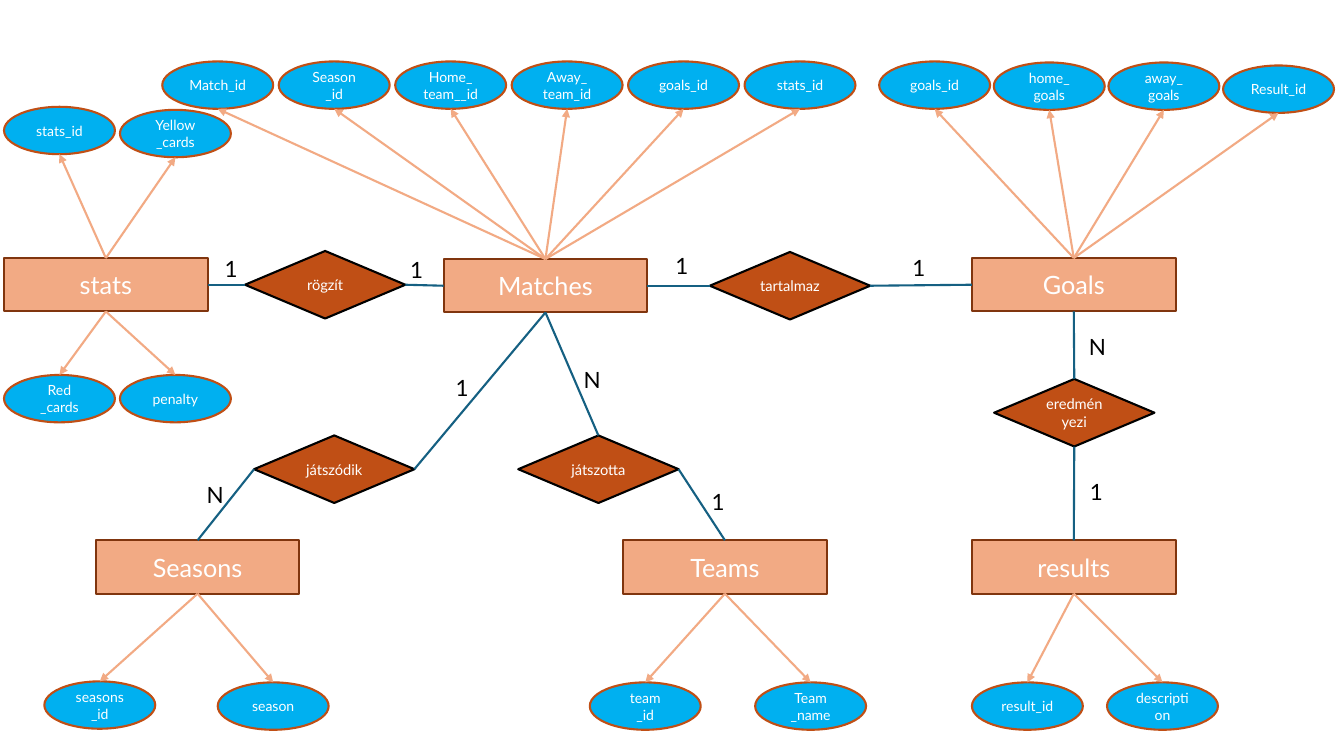
from dataclasses import dataclass

from lxml import etree
from pptx import Presentation
from pptx.dml.color import RGBColor
from pptx.enum.shapes import MSO_CONNECTOR, MSO_SHAPE
from pptx.enum.text import MSO_ANCHOR, MSO_AUTO_SIZE, PP_ALIGN
from pptx.oxml.ns import qn
from pptx.shapes.autoshape import Shape
from pptx.shapes.connector import Connector
from pptx.shapes.shapetree import SlideShapes
from pptx.util import Inches, Pt

STRAIGHT = MSO_CONNECTOR.STRAIGHT
RECTANGLE, OVAL, DIAMOND = MSO_SHAPE.RECTANGLE, MSO_SHAPE.OVAL, MSO_SHAPE.DIAMOND
MIDDLE, CENTER = MSO_ANCHOR.MIDDLE, PP_ALIGN.CENTER
GROW = MSO_AUTO_SIZE.SHAPE_TO_FIT_TEXT

FONT = "Lato"
WHITE = RGBColor(0xFF, 0xFF, 0xFF)
BLACK = RGBColor(0x00, 0x00, 0x00)
PEACH = RGBColor(0xF2, 0xAA, 0x84)
BROWN = RGBColor(0x80, 0x35, 0x0E)
RUST = RGBColor(0xC0, 0x4F, 0x15)
SKY = RGBColor(0x00, 0xB0, 0xF0)
TEAL = RGBColor(0x15, 0x60, 0x82)

# Connection sites of rectangles and diamonds
TOP, LEFT, BOTTOM, RIGHT = range(4)


@dataclass(frozen=True)
class Style:
    preset: MSO_SHAPE
    width: float
    height: float
    fill: RGBColor
    outline: RGBColor
    font_size: float


@dataclass(frozen=True)
class Attribute:
    name: str
    left: float
    top: float


@dataclass(frozen=True)
class Entity:
    name: str
    left: float
    top: float
    attributes: list[Attribute]


@dataclass(frozen=True)
class Link:
    """One side of a relationship, with the place of its cardinality."""
    diamond_site: int
    entity: str
    entity_site: int
    cardinality: str
    left: float
    top: float


@dataclass(frozen=True)
class Relationship:
    name: str
    left: float
    top: float
    links: list[Link]


ENTITY = Style(RECTANGLE, 2.02, 0.53, PEACH, BROWN, 18)
ATTRIBUTE = Style(OVAL, 1.1, 0.47, SKY, RUST, 10)
RELATIONSHIP = Style(DIAMOND, 1.59, 0.67, RUST, BLACK, 10.5)

MATCH_FIELDS = ["Match_id", "Season\n_id", "Home_\nteam__id",
                "Away_\nteam_id", "goals_id", "stats_id"]
GOAL_FIELDS = [("goals_id", 0.61), ("home_\ngoals", 0.62),
               ("away_\ngoals", 0.62), ("Result_id", 0.65)]

ENTITIES = [
    Entity("Matches", 4.4, 2.57, [
        Attribute(name, 1.61 + i * 1.155, 0.61)
        for i, name in enumerate(MATCH_FIELDS)]),
    Entity("Goals", 9.64, 2.56, [
        Attribute(name, 8.72 + i * 1.137, top)
        for i, (name, top) in enumerate(GOAL_FIELDS)]),
    Entity("stats", 0.04, 2.56, [
        Attribute("stats_id", 0.04, 1.06), Attribute("Yellow\n_cards", 1.19, 1.09),
        Attribute("Red\n_cards", 0.04, 3.72), Attribute("penalty", 1.19, 3.72)]),
    Entity("Seasons", 0.95, 5.36, [
        Attribute("seasons\n_id", 0.44, 6.76), Attribute("season", 2.16, 6.77)]),
    Entity("Teams", 6.18, 5.36, [
        Attribute("team\n_id", 5.85, 6.77), Attribute("Team\n_name", 7.49, 6.77)]),
    Entity("results", 9.64, 5.36, [
        Attribute("result_id", 9.64, 6.77), Attribute("description", 10.98, 6.77)]),
]

RELATIONSHIPS = [
    Relationship("rögzít", 2.43, 2.49, [
        Link(LEFT, "stats", RIGHT, "1", 2.13, 2.48),
        Link(RIGHT, "Matches", LEFT, "1", 3.97, 2.49)]),
    Relationship("tartalmaz", 7.04, 2.5, [
        Link(LEFT, "Matches", RIGHT, "1", 6.6, 2.45),
        Link(RIGHT, "Goals", LEFT, "1", 8.95, 2.47)]),
    Relationship("játszódik", 2.52, 4.32, [
        Link(LEFT, "Seasons", TOP, "N", 1.95, 4.72),
        Link(RIGHT, "Matches", BOTTOM, "1", 4.42, 3.66)]),
    Relationship("játszotta", 5.14, 4.32, [
        Link(TOP, "Matches", BOTTOM, "N", 5.69, 3.58),
        Link(RIGHT, "Teams", TOP, "1", 6.96, 4.79)]),
    Relationship("eredményezi", 9.86, 3.76, [
        Link(TOP, "Goals", BOTTOM, "N", 10.7, 3.26),
        Link(BOTTOM, "results", TOP, "1", 10.71, 4.69)]),
]


def add_node(shapes: SlideShapes, style: Style, text: str,
             left: float, top: float) -> Shape:
    node = shapes.add_shape(style.preset, Inches(left), Inches(top),
                            Inches(style.width), Inches(style.height))
    node.shadow.inherit = False
    node.fill.solid()
    node.fill.fore_color.rgb = style.fill
    node.line.color.rgb = style.outline
    node.line.width = Pt(1.5)
    frame = node.text_frame
    frame.word_wrap = True
    frame.vertical_anchor = MIDDLE
    frame.text = text
    for paragraph in frame.paragraphs:
        paragraph.alignment = CENTER
        paragraph.font.name = FONT
        paragraph.font.size = Pt(style.font_size)
        paragraph.font.color.rgb = WHITE
    return node


def add_line(shapes: SlideShapes, start: Shape, site: int,
             end_x: int, end_y: int, color: RGBColor) -> Connector:
    line = shapes.add_connector(STRAIGHT, 0, 0, end_x, end_y)
    line.begin_connect(start, site)
    line.line.color.rgb = color
    line.line.width = Pt(1.5)
    etree.SubElement(line._element.spPr, qn("a:effectLst"))
    return line


def add_attribute(shapes: SlideShapes, owner: Shape, attribute: Attribute) -> None:
    oval = add_node(shapes, ATTRIBUTE, attribute.name, attribute.left, attribute.top)
    above = oval.top < owner.top
    end_y = oval.top + oval.height if above else oval.top
    arrow = add_line(shapes, owner, TOP if above else BOTTOM,
                     oval.left + oval.width // 2, end_y, PEACH)
    etree.SubElement(arrow.line._get_or_add_ln(), qn("a:tailEnd"), type="triangle")


def add_cardinality(shapes: SlideShapes, link: Link) -> None:
    label = shapes.add_textbox(Inches(link.left), Inches(link.top),
                               Inches(0.35), Inches(0.37))
    frame = label.text_frame
    frame.word_wrap = True
    frame.auto_size = GROW
    frame.text = link.cardinality
    font = frame.paragraphs[0].font
    font.name = FONT
    font.size = Pt(16)
    font.color.rgb = BLACK


def main() -> None:
    presentation = Presentation()
    presentation.slide_width = Inches(13.33)
    presentation.slide_height = Inches(7.5)
    shapes = presentation.slides.add_slide(presentation.slide_layouts[6]).shapes

    boxes: dict[str, Shape] = {}
    for entity in ENTITIES:
        box = add_node(shapes, ENTITY, entity.name, entity.left, entity.top)
        boxes[entity.name] = box
        for attribute in entity.attributes:
            add_attribute(shapes, box, attribute)

    for relationship in RELATIONSHIPS:
        diamond = add_node(shapes, RELATIONSHIP, relationship.name,
                           relationship.left, relationship.top)
        for link in relationship.links:
            line = add_line(shapes, diamond, link.diamond_site, 0, 0, TEAL)
            line.end_connect(boxes[link.entity], link.entity_site)
            add_cardinality(shapes, link)

    presentation.save("out.pptx")


if __name__ == "__main__":
    main()
